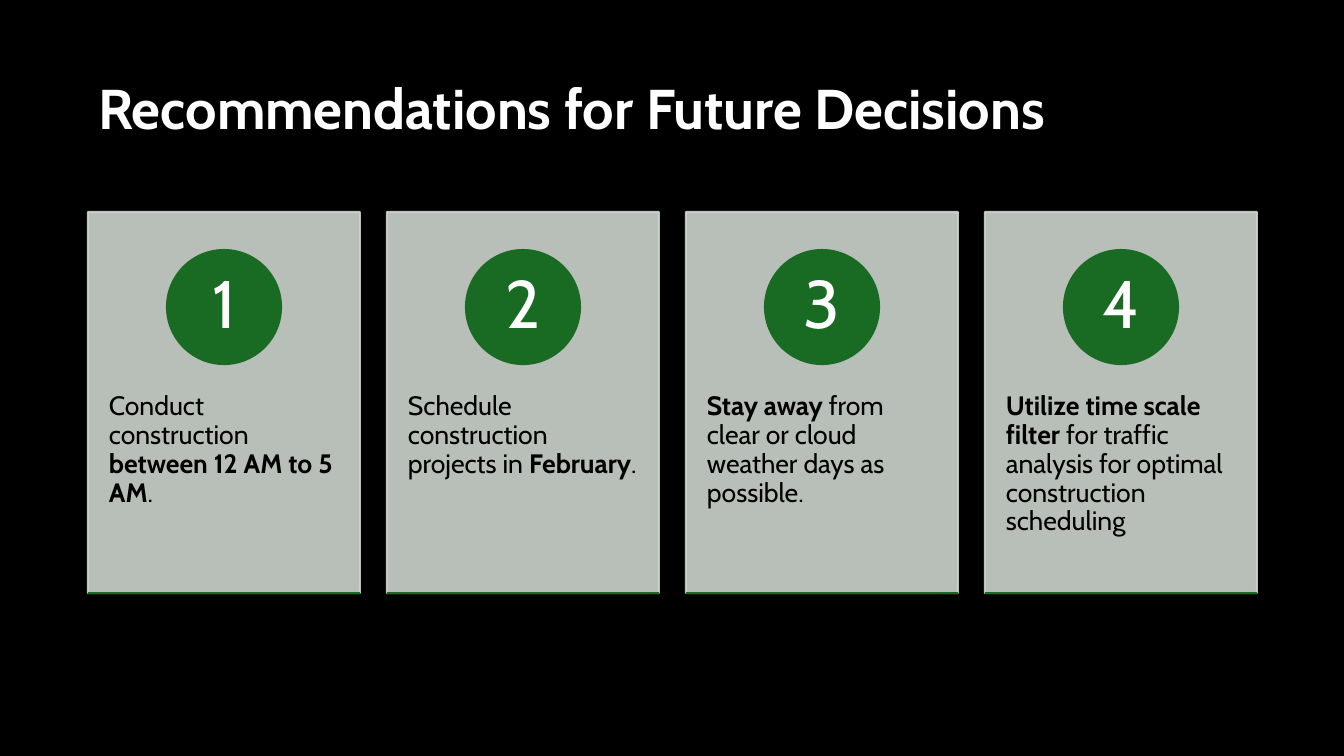
from lxml import etree
from pptx import Presentation
from pptx import util as u
from pptx.dml import color
from pptx.enum import shapes, text
from pptx.oxml import ns

PX = 12192000 / 1344
FONT = "Cabin"
BLACK, WHITE, GREEN, GRAY = "000000", "FFFFFF", "196B24", "CCD4CD"
CARD_LEFT, CARD_TOP, CARD_WIDTH, CARD_HEIGHT, CARD_STEP = 88, 212, 272, 381, 299
CIRCLE_SIZE, NUMBER_SIZE = 114, 80

RECOMMENDATIONS = [
    [("Conduct construction ", False), ("between 12 AM to 5 AM", True), (".", False)],
    [("Schedule construction projects in ", False), ("February", True), (".", False)],
    [("Stay away ", True), ("from clear or cloud weather days as possible.", False)],
    [("Utilize time scale filter", True),
     (" for traffic analysis for optimal construction scheduling", False)],
]


def px(*lengths):
    return [u.Emu(round(length * PX)) for length in lengths]


def paint(color_format, hex_string):
    color_format.rgb = color.RGBColor.from_string(hex_string)


def set_opacity(shape, percent):
    for solid_color in shape._element.spPr.iter(ns.qn("a:srgbClr")):
        alpha = etree.SubElement(solid_color, ns.qn("a:alpha"))
        alpha.set("val", str(percent * 1000))


def format_run(run, size, hex_string, bold=False):
    run.font.name = FONT
    run.font.size = u.Pt(size)
    run.font.bold = bold
    paint(run.font.color, hex_string)


def add_panel(slide, kind, box, hex_string):
    shape = slide.shapes.add_shape(kind, *px(*box))
    shape.shadow.inherit = False
    shape.fill.solid()
    paint(shape.fill.fore_color, hex_string)
    paint(shape.line.color, hex_string)
    shape.line.width = u.Pt(1.5)
    return shape


def add_rule(slide, left, top, width):
    ends = px(left, top, left + width, top)
    rule = slide.shapes.add_connector(shapes.MSO_CONNECTOR.STRAIGHT, *ends)
    paint(rule.line.color, GREEN)
    rule.line.width = u.Pt(1.5)
    etree.SubElement(rule._element.spPr, ns.qn("a:effectLst"))


def add_text(slide, box, pieces, size, hex_string, insets, anchor, alignment):
    frame = slide.shapes.add_textbox(*px(*box)).text_frame
    frame.word_wrap = True
    frame.vertical_anchor = anchor
    side, end = px(*insets)
    frame.margin_left = frame.margin_right = side
    frame.margin_top = frame.margin_bottom = end
    paragraph = frame.paragraphs[0]
    paragraph.alignment = alignment
    paragraph.line_spacing = 0.9
    for words, bold in pieces:
        run = paragraph.add_run()
        run.text = words
        format_run(run, size, hex_string, bold)


def add_title(slide, words):
    title = slide.shapes.title
    title.left, title.top, title.width, title.height = px(88, 68, 994, 78)
    frame = title.text_frame
    frame.text = words
    frame.word_wrap = True
    frame.auto_size = text.MSO_AUTO_SIZE.SHAPE_TO_FIT_TEXT
    frame.vertical_anchor = text.MSO_ANCHOR.TOP
    paragraph = frame.paragraphs[0]
    paragraph.alignment = text.PP_ALIGN.LEFT
    format_run(paragraph.runs[0], 40, WHITE, True)


def add_card(slide, left, number, pieces):
    card_box = (left, CARD_TOP, CARD_WIDTH, CARD_HEIGHT)
    card = add_panel(slide, shapes.MSO_SHAPE.RECTANGLE, card_box, GRAY)
    set_opacity(card, 90)
    add_text(slide, (left, 357, CARD_WIDTH, 229), pieces, 19, BLACK,
             (21, 36), text.MSO_ANCHOR.TOP, text.PP_ALIGN.LEFT)
    center = left + CARD_WIDTH // 2
    circle_box = (center - CIRCLE_SIZE // 2, 250, CIRCLE_SIZE, CIRCLE_SIZE)
    add_panel(slide, shapes.MSO_SHAPE.OVAL, circle_box, GREEN)
    number_box = (center - NUMBER_SIZE // 2, 267, NUMBER_SIZE, NUMBER_SIZE)
    add_text(slide, number_box, [(str(number), False)], 48, WHITE,
             (9, 1), text.MSO_ANCHOR.MIDDLE, text.PP_ALIGN.CENTER)
    add_rule(slide, left, CARD_TOP + CARD_HEIGHT, CARD_WIDTH)


def main():
    presentation = Presentation()
    presentation.slide_width, presentation.slide_height = px(1344, 756)
    slide = presentation.slides.add_slide(presentation.slide_layouts[5])
    slide.background.fill.solid()
    paint(slide.background.fill.fore_color, BLACK)
    add_title(slide, "Recommendations for Future Decisions")
    for index, pieces in enumerate(RECOMMENDATIONS):
        add_card(slide, CARD_LEFT + index * CARD_STEP, index + 1, pieces)
    presentation.save("out.pptx")


if __name__ == "__main__":
    main()
